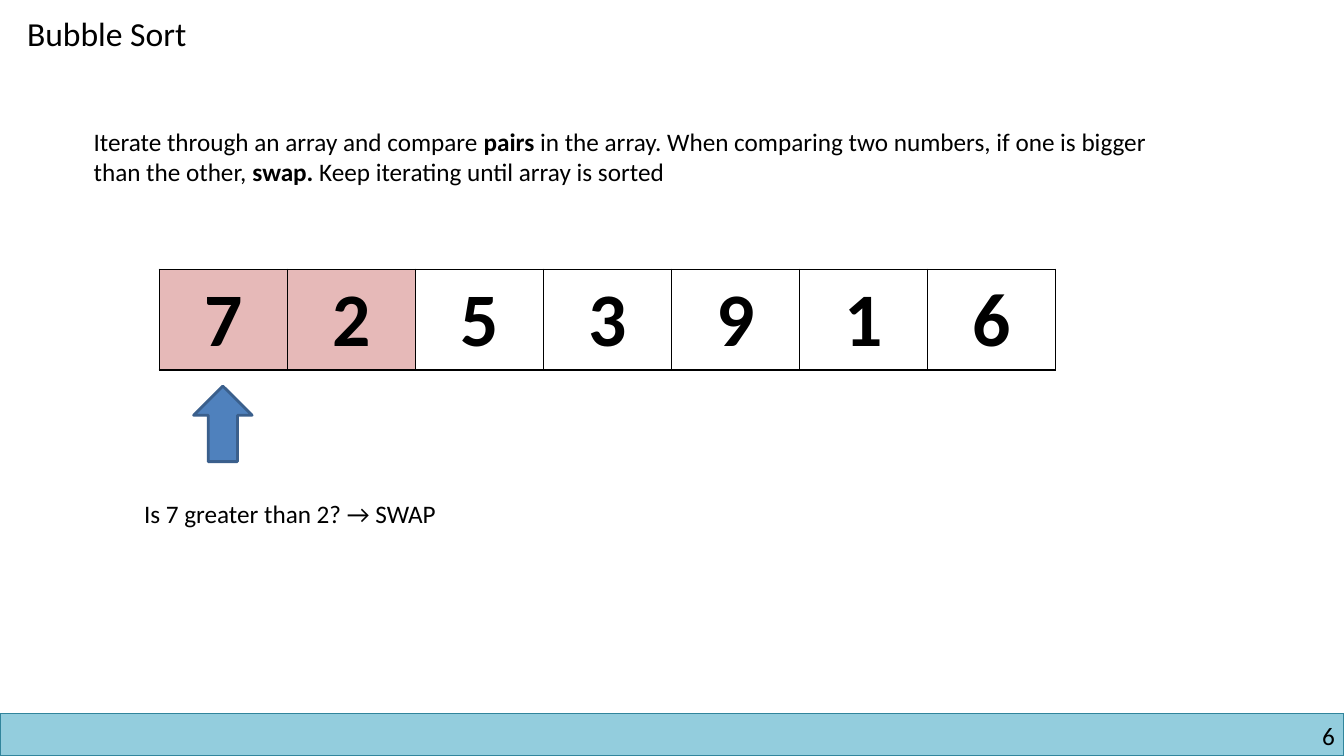
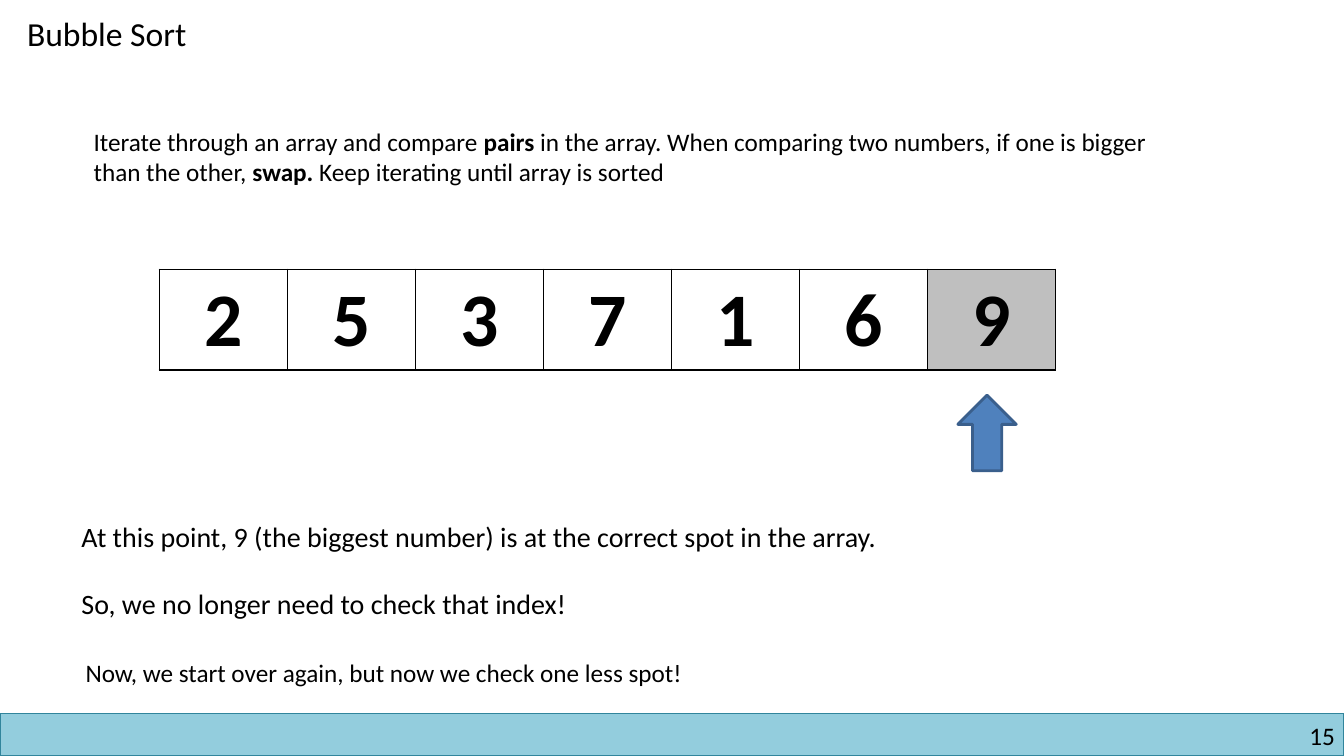
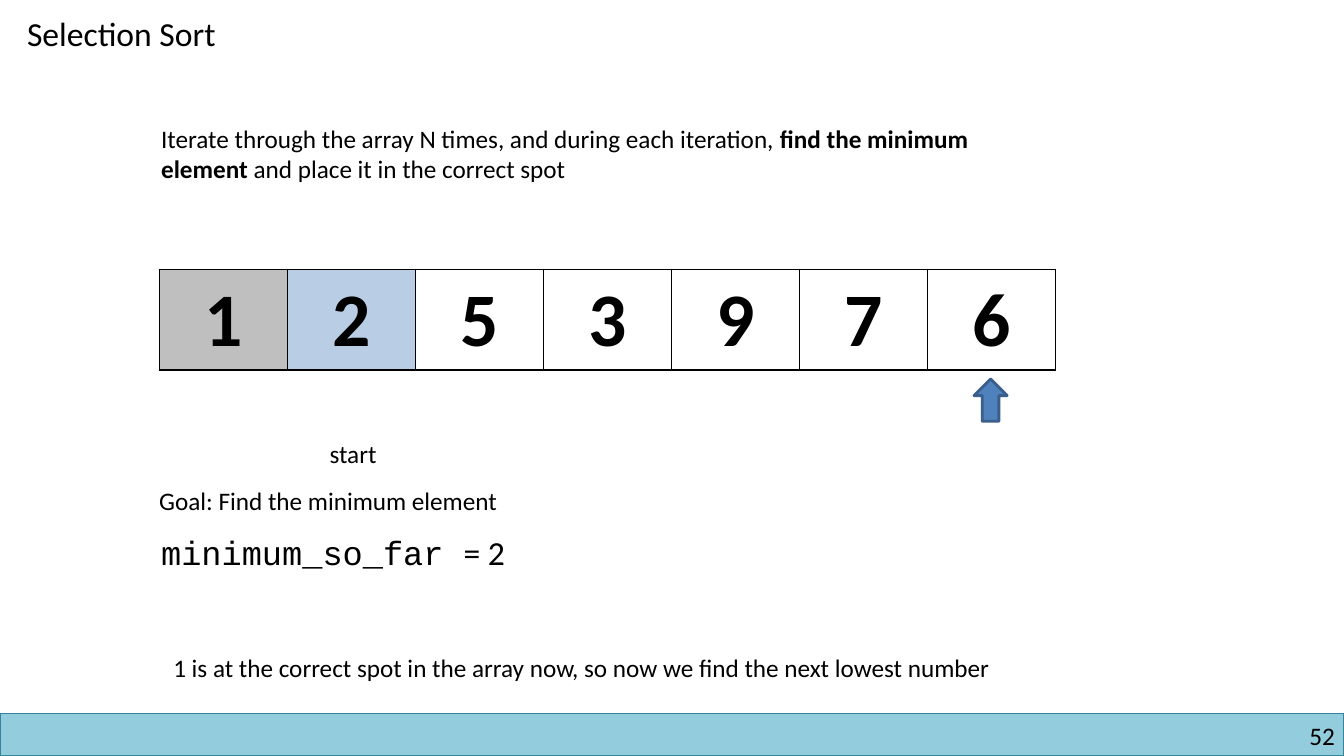
from lxml.etree import SubElement
from pptx import Presentation
from pptx.dml.color import RGBColor
from pptx.enum.shapes import MSO_SHAPE
from pptx.enum.text import PP_ALIGN
from pptx.oxml.ns import qn
from pptx.util import Inches, Pt

WIDTH, HEIGHT = 13.33, 7.5
BAND_HEIGHT = 0.42
BLACK, WHITE = "000000", "FFFFFF"
BAND_FILL, BAND_LINE = "93CDDD", "31859C"
ARROW_FILL, ARROW_LINE = "4F81BD", "3A5F8C"
COMPARED, DONE, START = "E6B9B8", "BFBFBF", "B9CDE5"
ARRAY_BOX = (1.58, 2.67, 8.89, 1)
BOLD = {"bold": True}
BODY = {"name": "Calibri", "size": Pt(18), "bold": False}
TITLE = BODY | {"size": Pt(24)}
REMARK = BODY | {"size": Pt(20)}
NUMBER = BODY | {"size": Pt(54), "bold": True}

BUBBLE_RULE = [
    ("Iterate through an array and compare ", {}),
    ("pairs", BOLD),
    (" in the array. When comparing two numbers, if one is bigger than the other, ", {}),
    ("swap. ", BOLD),
    ("Keep iterating until array is sorted", {}),
]
SELECTION_RULE = [
    ("Iterate through the array N times, and during each iteration, ", {}),
    ("find the minimum element", BOLD),
    (" and place it in the correct spot", {}),
]


def color(value):
    """Turn a hex string into a colour."""
    return RGBColor.from_string(value)


def inches(box):
    """Turn a box of numbers into lengths."""
    return [Inches(length) for length in box]


def write(paragraph, runs, style, align=PP_ALIGN.LEFT):
    """Fill a paragraph with a string or with (text, format) runs."""
    paragraph.alignment = align
    for text, changes in [(runs, {})] if isinstance(runs, str) else runs:
        run = paragraph.add_run()
        run.text = text
        for attribute, value in (style | changes).items():
            setattr(run.font, attribute, value)
        run.font.color.rgb = color(BLACK)


def add_text(slide, box, *paragraphs, style=BODY, align=PP_ALIGN.LEFT, margin=None, gap=0):
    """Place a wrapped text box with an equal gap between paragraphs."""
    frame = slide.shapes.add_textbox(*inches(box)).text_frame
    frame.word_wrap = True
    if margin is not None:
        for side in ("left", "top", "right", "bottom"):
            setattr(frame, f"margin_{side}", Inches(margin))
    for index, runs in enumerate(paragraphs):
        paragraph = frame.add_paragraph() if index else frame.paragraphs[0]
        if index:
            paragraph.space_before = Pt(gap)
        write(paragraph, runs, style, align)


def add_preset(slide, preset, box, fill, line, line_width):
    """Place a flat preset shape."""
    shape = slide.shapes.add_shape(preset, *inches(box))
    shape.shadow.inherit = False
    shape.fill.solid()
    shape.fill.fore_color.rgb = color(fill)
    shape.line.color.rgb = color(line)
    shape.line.width = Pt(line_width)


def add_footer(slide, box, page):
    """Draw the footer band with its page number."""
    left, top, width, height = box
    add_preset(slide, MSO_SHAPE.RECTANGLE, box, BAND_FILL, BAND_LINE, 1)
    add_text(slide, (left + width - 3.16, top + 0.07, 3.07, 0.3), str(page),
             align=PP_ALIGN.RIGHT, margin=0)


def add_borders(cell):
    """Outline a table cell in black."""
    properties = cell._tc.get_or_add_tcPr()
    for side in ("lnL", "lnR", "lnT", "lnB"):
        border = SubElement(properties, qn(f"a:{side}"), w=str(Pt(1)))
        SubElement(SubElement(border, qn("a:solidFill")), qn("a:srgbClr"), val=BLACK)


def add_array(slide, box, numbers, marks):
    """Draw the array as a one-row table with marked cells."""
    table = slide.shapes.add_table(1, len(numbers), *inches(box)).table
    table.first_row = table.horz_banding = False
    for index, number in enumerate(numbers):
        table.columns[index].width = Inches(box[2] / len(numbers))
        cell = table.cell(0, index)
        add_borders(cell)
        cell.fill.solid()
        cell.fill.fore_color.rgb = color(marks.get(index, WHITE))
        write(cell.text_frame.paragraphs[0], str(number), NUMBER, PP_ALIGN.CENTER)


def add_pointer(slide, left, top, width=0.58, height=0.75):
    """Point an arrow up at an array cell."""
    add_preset(slide, MSO_SHAPE.UP_ARROW, (left, top, width, height), ARROW_FILL, ARROW_LINE, 2)


def add_sort_slide(deck, page, title, rule, rule_box, numbers, marks):
    """Add a slide with title, footer, sorting rule and array."""
    slide = deck.slides.add_slide(deck.slide_layouts[6])
    add_footer(slide, (0, HEIGHT - BAND_HEIGHT, WIDTH, BAND_HEIGHT), page)
    add_text(slide, (0.17, 0.08, 4, 0.5), title, style=TITLE)
    add_text(slide, rule_box, rule)
    add_array(slide, ARRAY_BOX, numbers, marks)
    return slide


def add_bubble_slide(deck, page, numbers, marks):
    """Add a bubble sort slide."""
    return add_sort_slide(deck, page, "Bubble Sort", BUBBLE_RULE, (0.83, 1.2, 11.08, 0.71),
                          numbers, marks)


def add_swap_slide(deck):
    """Compare the first pair of the array."""
    slide = add_bubble_slide(deck, 6, (7, 2, 5, 3, 9, 1, 6), {0: COMPARED, 1: COMPARED})
    add_pointer(slide, 1.92, 3.83)
    add_text(slide, (1.33, 4.89, 3.52, 0.4), "Is 7 greater than 2? → SWAP")


def add_pass_end_slide(deck):
    """Show the array after one full pass."""
    slide = add_bubble_slide(deck, 15, (2, 5, 3, 7, 1, 6, 9), {6: DONE})
    add_pointer(slide, 9.5, 3.92)
    add_text(slide, (0.71, 5.1, 8.79, 1.11),
             "At this point, 9 (the biggest number) is at the correct spot in the array.",
             "So, we no longer need to check that index!", style=REMARK, gap=24)
    add_text(slide, (0.75, 6.47, 6.75, 0.4),
             "Now, we start over again, but now we check one less spot!")


def add_selection_slide(deck):
    """Search for the next minimum in selection sort."""
    slide = add_sort_slide(deck, 52, "Selection Sort", SELECTION_RULE, (1.5, 1.17, 8.83, 0.71),
                           (1, 2, 5, 3, 9, 7, 6), {0: DONE, 1: START})
    add_pointer(slide, 9.66, 3.76, 0.33, 0.42)
    add_text(slide, (3.17, 4.3, 0.8, 0.4), "start")
    add_text(slide, (1.48, 4.77, 3.99, 0.4), "Goal: Find the minimum element")
    add_text(slide, (1.5, 5.23, 4, 0.5),
             [("minimum_so_far ", {"name": "Courier New"}), ("= 2", {})], style=TITLE)
    add_text(slide, (1.62, 6.42, 8.95, 0.4),
             "1 is at the correct spot in the array now, so now we find the next lowest number")


def main():
    """Build and save the deck."""
    deck = Presentation()
    deck.slide_width, deck.slide_height = inches((WIDTH, HEIGHT))
    add_swap_slide(deck)
    add_pass_end_slide(deck)
    add_selection_slide(deck)
    deck.save("out.pptx")


if __name__ == "__main__":
    main()
